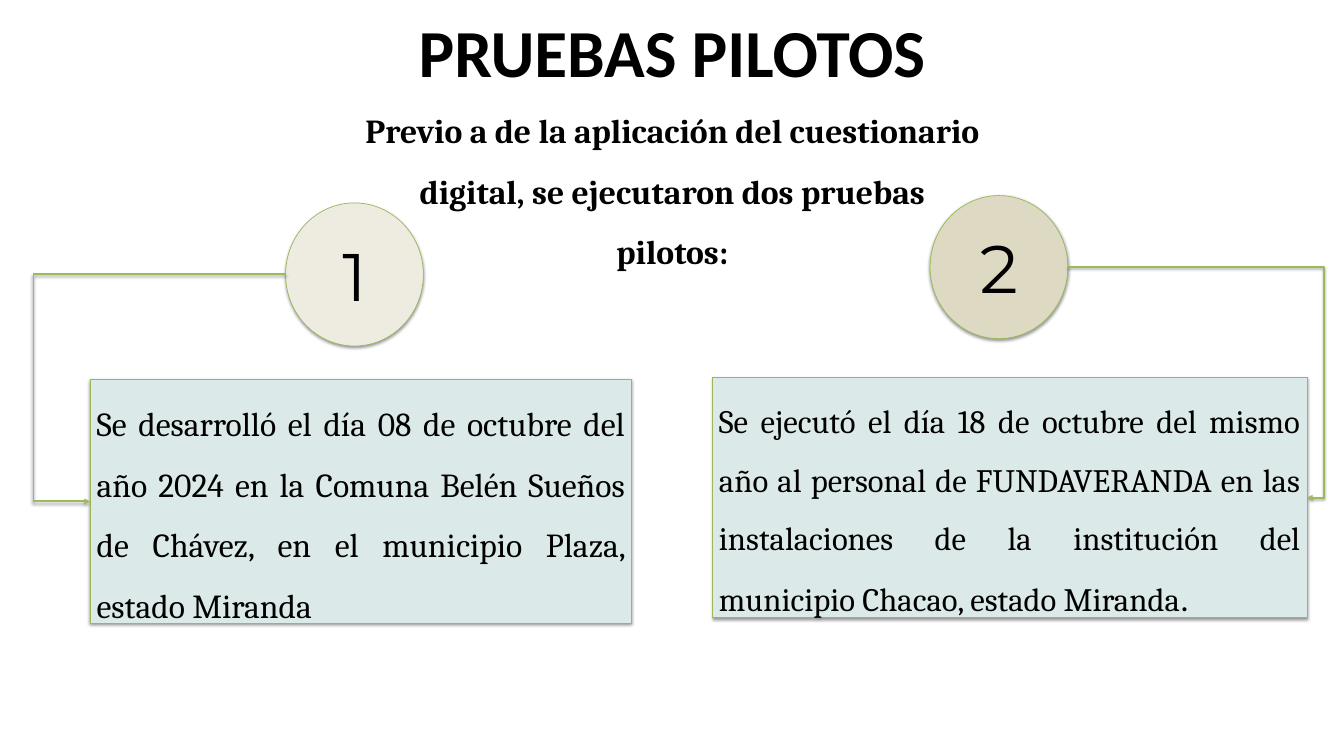
"""Builds the slide that presents the two pilot tests."""
import lxml.etree
import pptx
import pptx.dml.color
import pptx.enum.shapes
import pptx.enum.text
import pptx.oxml
import pptx.oxml.ns
import pptx.util

COLORS = {
    "text": "000000",
    "border": "98B955",
    "connector": "9BBB59",
    "box": "DBE9E8",
    "circle_1": "EEECE1",
    "circle_2": "DDD9C3",
}
ALIGN = pptx.enum.text.PP_ALIGN
ANCHOR = pptx.enum.text.MSO_ANCHOR
AUTO_SIZE = pptx.enum.text.MSO_AUTO_SIZE
SHAPE = pptx.enum.shapes.MSO_SHAPE
SHADOW = (
    f"<a:effectLst {pptx.oxml.ns.nsdecls('a')}>"
    '<a:outerShdw blurRad="40000" dist="20000" dir="5400000" rotWithShape="0">'
    '<a:srgbClr val="000000"><a:alpha val="38000"/></a:srgbClr>'
    "</a:outerShdw></a:effectLst>"
)


def rgb(name):
    return pptx.dml.color.RGBColor.from_string(COLORS[name])


def write(paragraph, text, size=36, font="Cambria", bold=False, align=ALIGN.CENTER, spacing=None):
    run = paragraph.add_run()
    run.text = text
    run.font.size = pptx.util.Pt(size)
    run.font.name = font
    run.font.bold = bold
    run.font.color.rgb = rgb("text")
    paragraph.alignment = align
    paragraph.line_spacing = spacing


def add_child(parent, tag, **attributes):
    return lxml.etree.SubElement(parent, pptx.oxml.ns.qn(tag), **attributes)


class PilotSlide:
    """Holds the style and the slide, with lengths on a grid of 100 columns by 100 rows."""

    def __init__(self, presentation):
        self.column = presentation.slide_width / 100
        self.row = presentation.slide_height / 100
        self.slide = presentation.slides.add_slide(presentation.slide_layouts[1])

    def area(self, left, top, width, height):
        return (round(left * self.column), round(top * self.row),
                round(width * self.column), round(height * self.row))

    def placeholder(self, index, area, text, top_inset=0.06, **text_format):
        shape = self.slide.placeholders[index]
        shape.left, shape.top, shape.width, shape.height = self.area(*area)
        frame = shape.text_frame
        frame.auto_size = AUTO_SIZE.NONE
        frame.vertical_anchor = ANCHOR.TOP
        frame.margin_left = frame.margin_right = pptx.util.Inches(0.11)
        frame.margin_top = pptx.util.Inches(top_inset)
        paragraph = frame.paragraphs[0]
        write(paragraph, text, **text_format)
        properties = paragraph._p.get_or_add_pPr()
        properties.set("marL", "0")
        properties.set("indent", "0")
        add_child(properties, "a:buNone")

    def panel(self, kind, area, fill, text, **text_format):
        shape = self.slide.shapes.add_shape(kind, *self.area(*area))
        shape.fill.solid()
        shape.fill.fore_color.rgb = rgb(fill)
        shape.line.color.rgb = rgb("border")
        shape.line.width = pptx.util.Pt(0.75)
        shape._element.spPr.append(pptx.oxml.parse_xml(SHADOW))
        shape.text_frame.word_wrap = True
        shape.text_frame.vertical_anchor = ANCHOR.MIDDLE
        write(shape.text_frame.paragraphs[0], text, **text_format)
        return shape

    def circle(self, left, top, fill, number):
        return self.panel(SHAPE.OVAL, (left, top, 10.25, 18.93), fill, number,
                          size=72, font="Montserrat")

    def box(self, area, text, size=36):
        shape = self.panel(SHAPE.RECTANGLE, area, "box", text,
                           size=size, align=ALIGN.JUSTIFY, spacing=1.5)
        shape.text_frame.vertical_anchor = ANCHOR.TOP
        shape.text_frame.auto_size = AUTO_SIZE.SHAPE_TO_FIT_TEXT
        return shape

    def elbow(self, circle, box, lane, right_side):
        start, end = (shape.left + right_side * shape.width for shape in (circle, box))
        start_y, end_y = (shape.top + shape.height // 2 for shape in (circle, box))
        connector = self.slide.shapes.add_connector(
            pptx.enum.shapes.MSO_CONNECTOR.ELBOW, start, start_y, end, end_y)
        connector.line.color.rgb = rgb("connector")
        connector.line.width = pptx.util.Pt(2)
        properties = connector._element.spPr
        bend = round((lane * self.column - start) / (end - start) * 100000)
        guides = properties.find(".//" + pptx.oxml.ns.qn("a:avLst"))
        add_child(guides, "a:gd", name="adj1", fmla=f"val {bend}")
        add_child(properties.find(pptx.oxml.ns.qn("a:ln")), "a:tailEnd", type="triangle")
        properties.append(pptx.oxml.parse_xml(SHADOW))


def main():
    presentation = pptx.Presentation()
    presentation.slide_width = pptx.util.Inches(20)
    presentation.slide_height = pptx.util.Inches(11.25)
    page = PilotSlide(presentation)
    page.placeholder(0, (5, 1.33, 90, 16.62), "PRUEBAS PILOTOS", top_inset=0,
                     size=72, font="Calibri", bold=True)
    page.placeholder(1, (26.35, 11.38, 47.35, 13.24),
                     "Previo a de la aplicación del cuestionario digital, "
                     "se ejecutaron dos pruebas pilotos:", bold=True, spacing=1.5)
    first_circle = page.circle(21.25, 26.84, "circle_1", "1")
    second_circle = page.circle(69.2, 25.87, "circle_2", "2")
    second_box = page.box((53, 49.96, 44.25, 31.73),
                          "Se ejecutó el día 18 de octubre del mismo año al personal de "
                          "FUNDAVERANDA en las instalaciones de la institución del "
                          "municipio Chacao, estado Miranda", size=35)
    write(second_box.text_frame.paragraphs[0], ".", font="Calibri",
          align=ALIGN.JUSTIFY, spacing=1.5)
    first_box = page.box((6.7, 50.22, 40.3, 32.18),
                         "Se desarrolló el día 08 de octubre del año 2024 en la Comuna "
                         "Belén Sueños de Chávez, en el municipio Plaza, estado Miranda")
    page.elbow(first_circle, first_box, lane=2.5, right_side=False)
    page.elbow(second_circle, second_box, lane=98.5, right_side=True)
    presentation.save("out.pptx")


if __name__ == "__main__":
    main()
